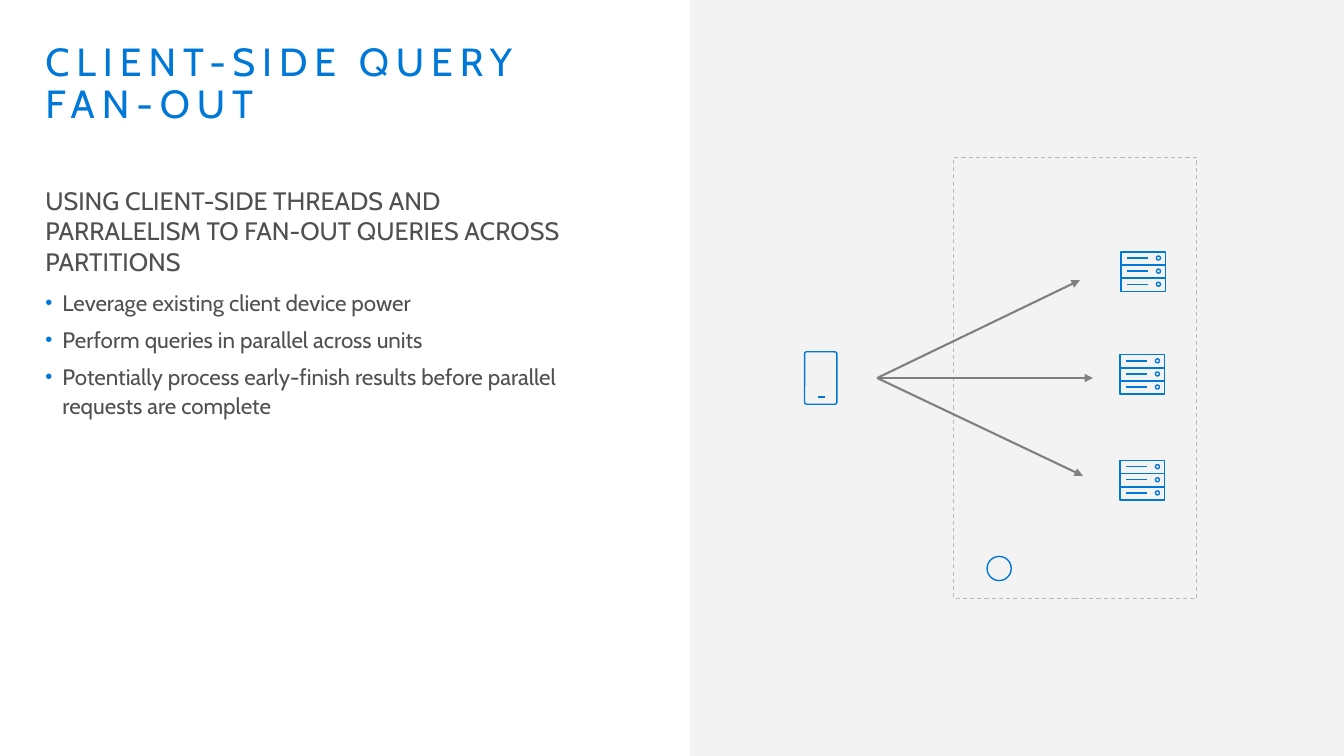
from lxml import etree
from pptx import Presentation
from pptx.dml.color import RGBColor
from pptx.enum.dml import MSO_LINE
from pptx.enum.shapes import MSO_CONNECTOR, MSO_SHAPE
from pptx.enum.text import MSO_ANCHOR
from pptx.oxml.ns import qn
from pptx.util import Inches, Pt

RECTANGLE = MSO_SHAPE.RECTANGLE
ROUNDED = MSO_SHAPE.ROUNDED_RECTANGLE
OVAL = MSO_SHAPE.OVAL
STRAIGHT = MSO_CONNECTOR.STRAIGHT
DASH = MSO_LINE.DASH
TOP = MSO_ANCHOR.TOP

FONT = "Cabin"
BLUE, DARK, GRAY, BORDER, PANEL = "0078D7", "505050", "808080", "B9B9B9", "F2F2F2"

TITLE = "CLIENT-SIDE QUERY FAN-OUT"
SUBTITLE = "USING CLIENT-SIDE THREADS AND PARRALELISM TO FAN-OUT QUERIES ACROSS PARTITIONS"
BENEFITS = (
    "Leverage existing client device power",
    "Perform queries in parallel across units",
    "Potentially process early-finish results before parallel requests are complete",
)
SERVERS = ((11.12, 2.5), (11.11, 3.52), (11.11, 4.57))
ARROW_START = (8.7, 3.75)
ARROW_ENDS = ((10.71, 2.78), (10.84, 3.75), (10.74, 4.72))


def color(hex_code):
    """Return the colour for a hex string."""
    return RGBColor.from_string(hex_code)


def add_outline(shapes, kind, box, line_color=BLUE, width=1):
    """Add an unfilled preset shape with a coloured line."""
    outline = shapes.add_shape(kind, *map(Inches, box))
    outline.shadow.inherit = False
    outline.fill.background()
    outline.line.color.rgb = color(line_color)
    outline.line.width = Pt(width)
    return outline


def add_line(shapes, start, end, line_color=BLUE, width=1, arrow=False):
    """Add a straight line, with an arrowhead at its end on request."""
    line = shapes.add_connector(STRAIGHT, *map(Inches, (*start, *end)))
    line.line.color.rgb = color(line_color)
    line.line.width = Pt(width)
    properties = line._element.spPr
    if arrow:
        etree.SubElement(properties.find(qn("a:ln")), qn("a:tailEnd"), type="triangle")
    etree.SubElement(properties, qn("a:effectLst"))


def add_panel(shapes):
    """Add the slightly transparent panel behind the diagram."""
    panel = shapes.add_shape(RECTANGLE, *map(Inches, (6.84, 0, 6.49, 7.5)))
    panel.shadow.inherit = False
    panel.fill.solid()
    panel.fill.fore_color.rgb = color(PANEL)
    panel.line.fill.background()
    tint = panel._element.spPr.find(".//" + qn("a:srgbClr"))
    etree.SubElement(tint, qn("a:alpha"), val="89000")


def add_text_frame(shapes, box):
    """Add a wrapping text box and return its frame."""
    frame = shapes.add_textbox(*map(Inches, box)).text_frame
    frame.word_wrap = True
    frame.vertical_anchor = TOP
    frame.margin_left = frame.margin_right = Inches(0.16)
    frame.margin_top = frame.margin_bottom = Inches(0.1)
    return frame


def write(paragraph, text, size, text_color):
    """Fill a paragraph with text in the slide font."""
    paragraph.text = text
    paragraph.font.name = FONT
    paragraph.font.size = Pt(size)
    paragraph.font.color.rgb = color(text_color)


def add_bullet(paragraph):
    """Give a paragraph a hanging blue bullet."""
    properties = paragraph._p.get_or_add_pPr()
    properties.set("marL", str(Inches(0.17)))
    properties.set("indent", str(Inches(-0.17)))
    bullet_color = etree.SubElement(properties, qn("a:buClr"))
    etree.SubElement(bullet_color, qn("a:srgbClr"), val=BLUE)
    etree.SubElement(properties, qn("a:buSzPct"), val="90000")
    etree.SubElement(properties, qn("a:buFont"), typeface="Arial")
    etree.SubElement(properties, qn("a:buChar"), char="•")


def add_title(shapes):
    """Add the letter-spaced title."""
    title = add_text_frame(shapes, (0.29, 0.32, 5.76, 1.07)).paragraphs[0]
    title.line_spacing = 0.9
    write(title, TITLE, 28, BLUE)
    title._p.pPr.find(qn("a:defRPr")).set("spc", "500")


def add_body(shapes):
    """Add the subtitle and the bulleted benefits."""
    frame = add_text_frame(shapes, (0.29, 1.74, 5.76, 2.24))
    subtitle = frame.paragraphs[0]
    subtitle.space_before, subtitle.space_after = Pt(12), Pt(8)
    write(subtitle, SUBTITLE, 18, DARK)
    for text in BENEFITS:
        benefit = frame.add_paragraph()
        add_bullet(benefit)
        benefit.line_spacing = 1.07
        benefit.space_after = Pt(6)
        write(benefit, text, 16, DARK)


def add_phone(shapes):
    """Add the client device."""
    phone = shapes.add_group_shape().shapes
    body = add_outline(phone, ROUNDED, (7.98, 3.49, 0.32, 0.52))
    body.adjustments[0] = 0.06
    add_line(phone, (8.11, 3.94), (8.18, 3.94))


def add_server(shapes, left, top):
    """Add a server made of three stacked units."""
    server = shapes.add_group_shape().shapes
    unit_height = 0.13
    for row in range(3):
        y = top + row * unit_height
        add_outline(server, RECTANGLE, (left, y, 0.44, unit_height))
        add_outline(server, OVAL, (left + 0.35, y + 0.04, 0.04, 0.04))
        add_line(server, (left + 0.06, y + 0.06), (left + 0.27, y + 0.06))


def main():
    """Build and save the slide."""
    deck = Presentation()
    deck.slide_width, deck.slide_height = Inches(13.33), Inches(7.5)
    shapes = deck.slides.add_slide(deck.slide_layouts[6]).shapes

    add_panel(shapes)
    add_body(shapes)
    add_title(shapes)
    database = add_outline(shapes, RECTANGLE, (9.46, 1.56, 2.41, 4.38), BORDER, 0.75)
    database.line.dash_style = DASH
    add_outline(shapes, OVAL, (9.79, 5.52, 0.24, 0.24))
    for end in ARROW_ENDS:
        add_line(shapes, ARROW_START, end, GRAY, 1.5, arrow=True)
    add_phone(shapes)
    for left, top in SERVERS:
        add_server(shapes, left, top)

    deck.save("out.pptx")


if __name__ == "__main__":
    main()
